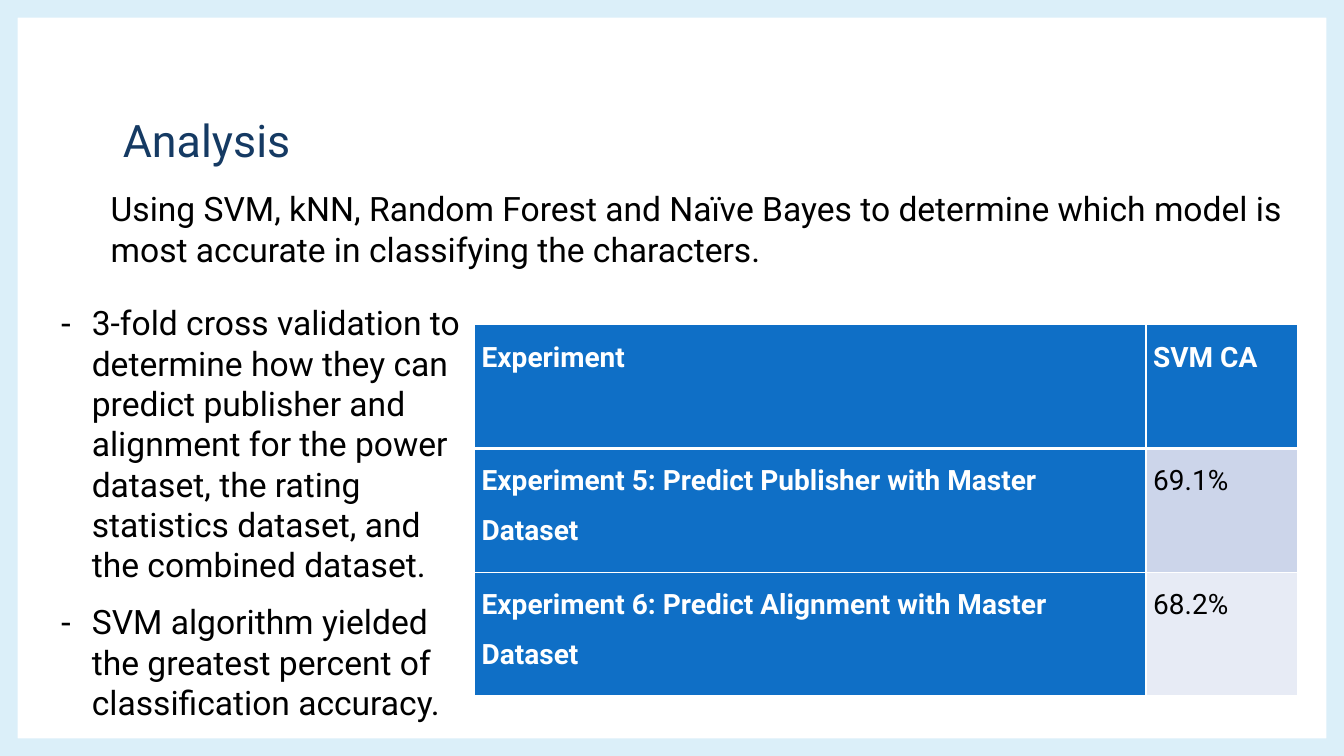
from lxml import etree
from pptx import Presentation
from pptx import util as u
from pptx.dml.color import RGBColor
from pptx.enum import shapes, text
from pptx.oxml import ns

FONT = "Roboto"
BLUE, WHITE, BLACK = "0F6FC6", "FFFFFF", "000000"


def write(paragraph, content, size=24, color=BLACK, bold=False, spacing=1.0, after=0):
    """Fill a paragraph with formatted, left-aligned text."""
    run = paragraph.add_run()
    run.text = content
    run.font.name, run.font.size, run.font.bold = FONT, u.Pt(size), bold
    run.font.color.rgb = RGBColor.from_string(color)
    paragraph.alignment = text.PP_ALIGN.LEFT
    paragraph.line_spacing = spacing
    paragraph.space_before, paragraph.space_after = u.Pt(0), u.Pt(after)


def place(shape, left, top, width, height):
    """Move and size a shape, in centimetres."""
    shape.left, shape.top = u.Cm(left), u.Cm(top)
    shape.width, shape.height = u.Cm(width), u.Cm(height)


presentation = Presentation()
presentation.slide_width, presentation.slide_height = u.Cm(33.87), u.Cm(19.05)
slide = presentation.slides.add_slide(presentation.slide_layouts[1])
title, body = slide.placeholders

# Pale frame around the slide, behind everything else
frame = slide.shapes.add_shape(shapes.MSO_SHAPE.FRAME, 0, 0,
                               presentation.slide_width, presentation.slide_height)
frame.adjustments[0] = 0.0233
frame.shadow.inherit = False
frame.fill.solid()
frame.fill.fore_color.rgb = RGBColor.from_string("DBEFF9")
frame.line.fill.background()
slide.shapes._spTree.insert(2, frame._element)

# Title
place(title, 2.84, 2.54, 28.14, 1.78)
title.text_frame.auto_size = text.MSO_AUTO_SIZE.NONE
title.text_frame.vertical_anchor = text.MSO_ANCHOR.BOTTOM
write(title.text_frame.paragraphs[0], "Analysis", size=32, color="153A63", spacing=1.1)

# Dashed list on the left
findings = [
    "3-fold cross validation to determine how they can predict publisher and alignment "
    "for the power dataset, the rating statistics dataset, and the combined dataset.",
    "SVM algorithm yielded the greatest percent of classification accuracy.",
]
place(body, 0, 7.49, 11.96, 11.4)
body.text_frame.auto_size = text.MSO_AUTO_SIZE.NONE
for index, finding in enumerate(findings):
    paragraph = body.text_frame.paragraphs[0] if index == 0 else body.text_frame.add_paragraph()
    paragraph.level = 1
    properties = paragraph._p.get_or_add_pPr()
    properties.set("marL", str(u.Cm(2.06)))
    properties.set("indent", str(u.Cm(-0.79)))
    etree.SubElement(properties, ns.qn("a:buChar"), char="-")
    write(paragraph, finding, after=12)

# Introduction
introduction = slide.shapes.add_textbox(u.Cm(2.54), u.Cm(4.62), u.Cm(30.15), u.Cm(2.31))
introduction.text_frame.word_wrap = True
write(introduction.text_frame.paragraphs[0],
      "Using SVM, kNN, Random Forest and Naïve Bayes to determine which model is "
      "most accurate in classifying the characters.")

# Results table
results = [
    ("Experiment", "SVM CA"),
    ("Experiment 5: Predict Publisher with Master Dataset", "69.1%"),
    ("Experiment 6: Predict Alignment with Master Dataset", "68.2%"),
]
score_fills = [BLUE, "CCD5EA", "E7EBF5"]
table = slide.shapes.add_table(3, 2, u.Cm(11.96), u.Cm(8.18), u.Cm(20.73), u.Cm(9.36)).table
table.first_row = table.horz_banding = False
table.columns[0].width, table.columns[1].width = u.Cm(16.92), u.Cm(3.81)

for row, values in enumerate(results):
    table.rows[row].height = u.Cm(3.12)
    for column, value in enumerate(values):
        cell = table.cell(row, column)
        cell.margin_left = cell.margin_right = u.Cm(0.18)
        cell.margin_top = cell.margin_bottom = 0
        heading = row == 0 or column == 0
        write(cell.text_frame.paragraphs[0], value, size=20, bold=heading,
              color=WHITE if heading else BLACK, spacing=1.5)

        # White borders, thicker under the header row
        for side in ("lnL", "lnR", "lnT", "lnB"):
            under_header = (row, side) in ((0, "lnB"), (1, "lnT"))
            border = etree.SubElement(cell._tc.get_or_add_tcPr(), ns.qn(f"a:{side}"),
                                      w=str(u.Pt(3 if under_header else 1)))
            line_fill = etree.SubElement(border, ns.qn("a:solidFill"))
            etree.SubElement(line_fill, ns.qn("a:srgbClr"), val=WHITE)
        cell.fill.solid()
        cell.fill.fore_color.rgb = RGBColor.from_string(BLUE if heading else score_fills[row])

presentation.save("out.pptx")
